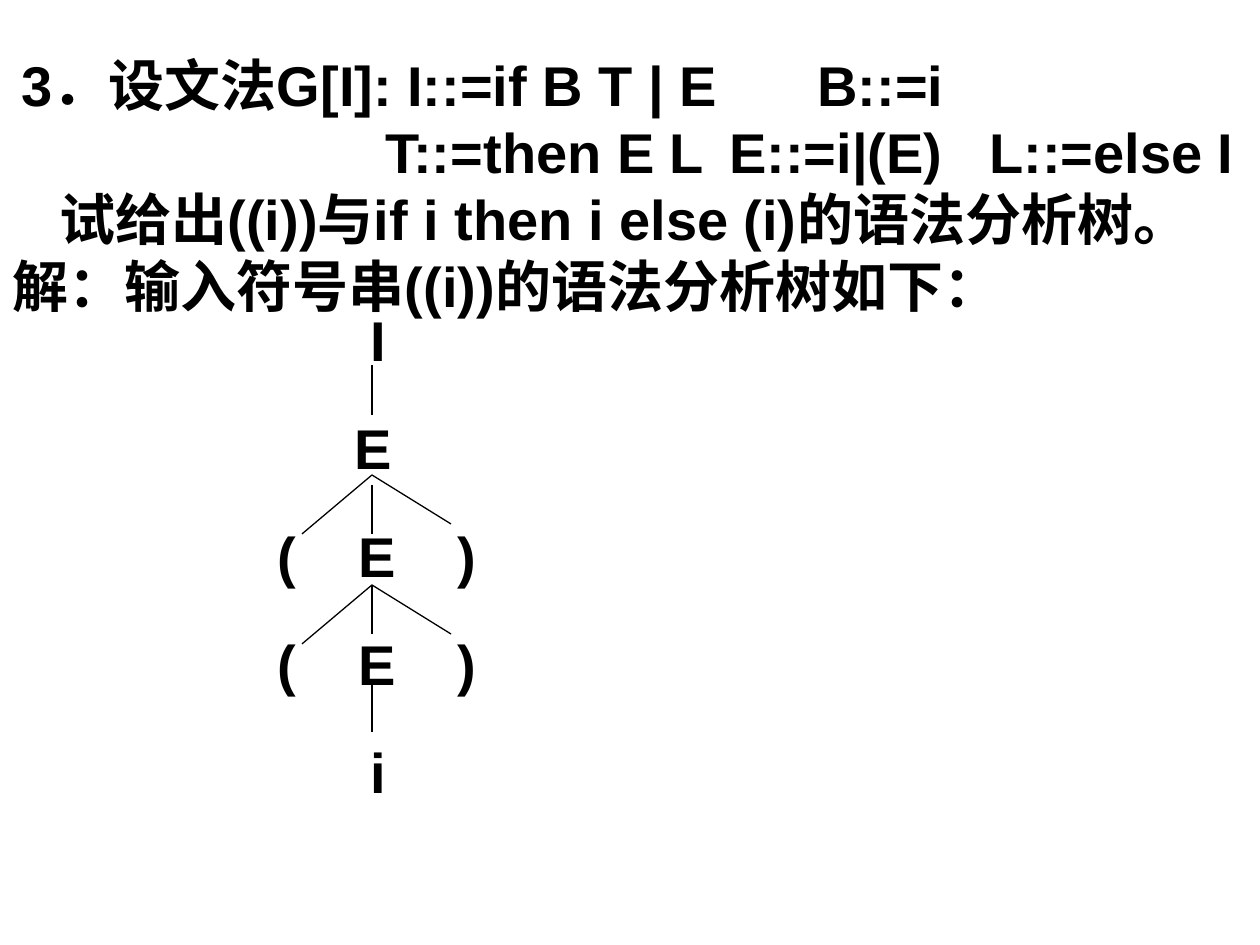
from lxml.etree import SubElement as Sub
from pptx import Presentation
from pptx.dml.color import RGBColor as RGB
from pptx.enum.shapes import MSO_CONNECTOR as Kind
from pptx.oxml.ns import qn
from pptx.util import Emu, Pt

BLACK = RGB(0, 0, 0)
PX = 914400 // 126
STEM = 372
LEFT, RIGHT = 302, 451

HEAD = [
    ("\t3．设文法G[I]: I::=if B T | E\tB::=i", [9, 805]),
    ("\tT::=then E L\tE::=i|(E)\tL::=else I", [373, 717, 977]),
    ("\t试给出((i))与if i then i else (i)的语法分析树。", [47]),
    ("解：输入符号串((i))的语法分析树如下：", []),
]
NEST = ("\t(\tE\t)", [265, 346, 445])
TREE = [("\tI", [358]), ("\tE", [342]), NEST, NEST, ("\ti", [358])]
EDGES = [
    (STEM, 365, 415),
    (LEFT, 475, 534), (STEM, 485, 534), (RIGHT, 475, 524),
    (LEFT, 585, 644), (STEM, 585, 634), (RIGHT, 585, 634),
    (STEM, 683, 732),
]


def px(n):
    return Emu(n * PX)


def add_text(para, text, tabs=(), pitch=67, gap=0, size=32, color=BLACK):
    if tabs:
        stops = Sub(para._p.get_or_add_pPr(), qn("a:tabLst"))
        for pos in tabs:
            Sub(stops, qn("a:tab"), pos=str(px(pos)), algn="l")
    para.line_spacing = px(pitch)
    para.space_before = px(gap)
    run = para.add_run()
    run.text = text
    font = run.font
    font.name, font.size, font.bold = "Arial", Pt(size), True
    font.color.rgb = color


def add_body(slide):
    frame = slide.shapes.add_textbox(px(0), px(45), px(1260), px(833)).text_frame
    frame.word_wrap = True
    for i, (text, tabs) in enumerate(HEAD):
        para = frame.add_paragraph() if i else frame.paragraphs[0]
        add_text(para, text, tabs=tabs)
    for i, (text, tabs) in enumerate(TREE):
        add_text(frame.add_paragraph(), text, tabs=tabs, pitch=54, gap=54 if i else 0)


def add_edge(slide, end, top, foot):
    edge = slide.shapes.add_connector(Kind.STRAIGHT, px(STEM), px(top), px(end), px(foot))
    edge.line.color.rgb = BLACK
    edge.line.width = Pt(0.75)
    Sub(edge._element.spPr, qn("a:effectLst"))


def main():
    deck = Presentation()
    deck.slide_width, deck.slide_height = px(1260), px(945)
    slide = deck.slides.add_slide(deck.slide_layouts[6])
    add_body(slide)
    for edge in EDGES:
        add_edge(slide, *edge)
    deck.save("out.pptx")


if __name__ == "__main__":
    main()
